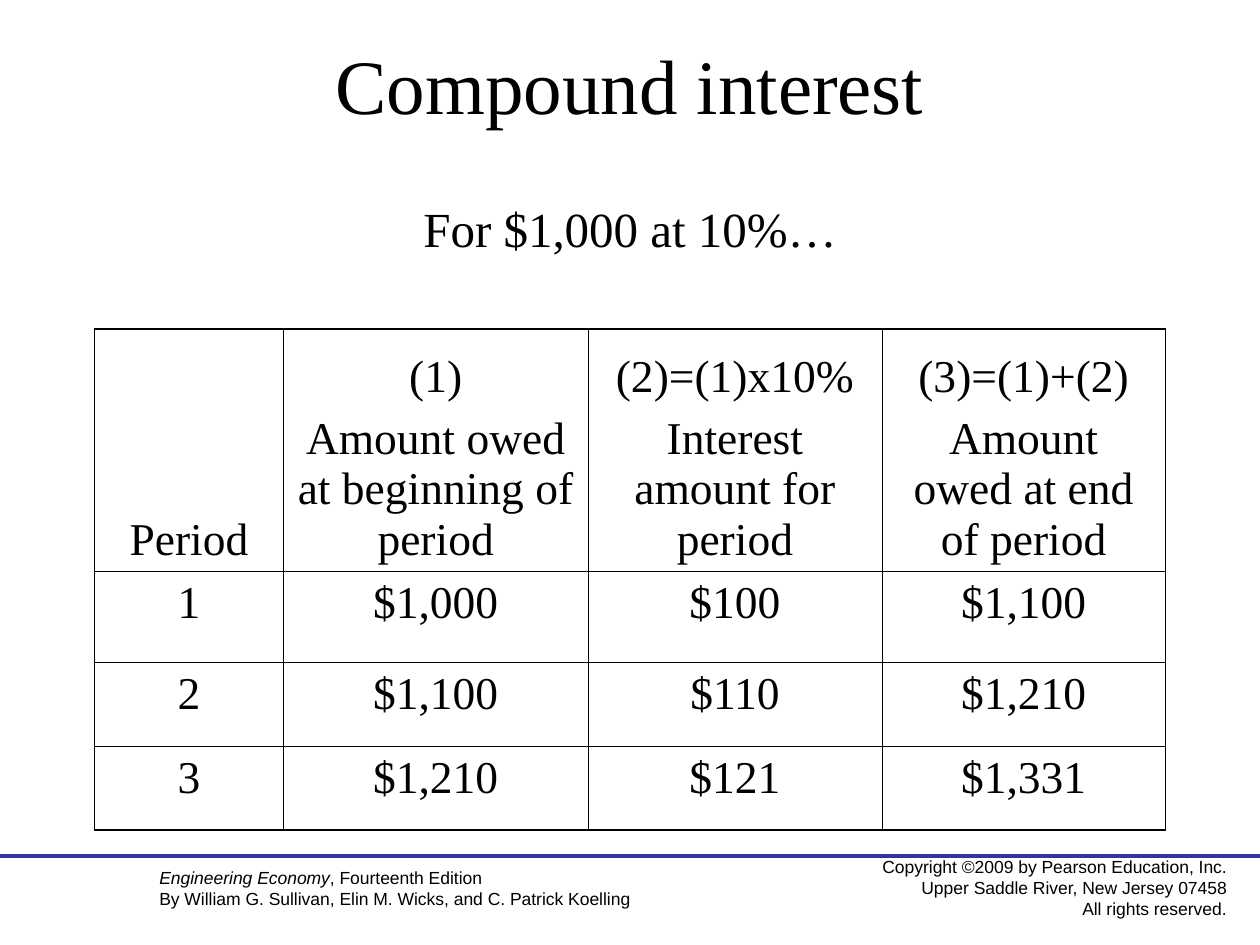
from lxml import etree
from pptx import Presentation
from pptx import util as u
from pptx.dml.color import RGBColor
from pptx.enum import shapes, text
from pptx.oxml import ns

COLUMNS, ROWS = 120, 90
INK, RULE = "000000", "333399"
CENTER, LEFT, RIGHT = text.PP_ALIGN.CENTER, text.PP_ALIGN.LEFT, text.PP_ALIGN.RIGHT
TOP, MIDDLE, BOTTOM = text.MSO_ANCHOR.TOP, text.MSO_ANCHOR.MIDDLE, text.MSO_ANCHOR.BOTTOM


def color(value):
    return RGBColor.from_string(value)


def write(frame, lines, align, font):
    for i, line in enumerate(lines):
        paragraph = frame.paragraphs[0] if i == 0 else frame.add_paragraph()
        paragraph.alignment = align
        for words, italic in line:
            run = paragraph.add_run()
            run.text = words
            for key, value in {**font, "italic": italic, "bold": False}.items():
                setattr(run.font, key, value)
            run.font.color.rgb = color(INK)


deck = Presentation()
deck.slide_width, deck.slide_height = u.Inches(10), u.Inches(7.5)
unit = deck.slide_width // COLUMNS
slide = deck.slides.add_slide(deck.slide_layouts[6])

copyright_lines = [
    [("Copyright ©2009 by Pearson Education, Inc.", False)],
    [("Upper Saddle River, New Jersey 07458", False)],
    [("All rights reserved.", False)],
]
book_lines = [
    [("Engineering Economy", True), (", Fourteenth Edition", False)],
    [("By William G. Sullivan, Elin M. Wicks, and C. Patrick Koelling", False)],
]
passages = [
    ((80, 81, 38, 7), copyright_lines, RIGHT, MIDDLE, "Arial", 10),
    ((14, 82, 60, 5.25), book_lines, LEFT, TOP, "Arial", 10),
    ((6, 14.25, 108, 15), [[("For $1,000 at 10%…", False)]], CENTER, MIDDLE, "Times New Roman", 28),
    ((9, 2.5, 102, 11), [[("Compound interest", False)]], CENTER, MIDDLE, "Times New Roman", 44),
]
for place, lines, align, anchor, face, size in passages:
    frame = slide.shapes.add_textbox(*[int(n * unit) for n in place]).text_frame
    frame.word_wrap = True
    frame.vertical_anchor = anchor
    write(frame, lines, align, {"name": face, "size": u.Pt(size)})

footer_rule = slide.shapes.add_connector(
    shapes.MSO_CONNECTOR.STRAIGHT, 0, int(81.5 * unit), COLUMNS * unit, int(81.5 * unit))
footer_rule.line.color.rgb = color(RULE)
footer_rule.line.width = u.Pt(2.25)
etree.SubElement(footer_rule._element.spPr, ns.qn("a:effectLst"))

schedule = [
    [["Period"], ["(1)", "Amount owed at beginning of period"],
     ["(2)=(1)x10%", "Interest amount for period"],
     ["(3)=(1)+(2)", "Amount owed at end of period"]],
    [["1"], ["$1,000"], ["$100"], ["$1,100"]],
    [["2"], ["$1,100"], ["$110"], ["$1,210"]],
    [["3"], ["$1,210"], ["$121"], ["$1,331"]],
]
widths, heights = [18, 29, 28, 27], [23, 8.67, 8, 8]
last_row, last_column = len(heights) - 1, len(widths) - 1
place = (9, 31.33, sum(widths), sum(heights))
table = slide.shapes.add_table(len(heights), len(widths), *[int(n * unit) for n in place]).table
table.first_row = table.horz_banding = False
for column, width in zip(table.columns, widths):
    column.width = width * unit
for row, height in zip(table.rows, heights):
    row.height = int(height * unit)

for r, entries in enumerate(schedule):
    for c, entry in enumerate(entries):
        cell = table.cell(r, c)
        write(cell.text_frame, [[(words, False)] for words in entry], CENTER,
              {"name": "Times New Roman", "size": u.Pt(26)})
        for paragraph in cell.text_frame.paragraphs[1:]:
            paragraph.space_before = u.Pt(6.5)
        cell.vertical_anchor = BOTTOM if r == 0 else TOP
        outer = {"lnL": c == 0, "lnR": c == last_column, "lnT": r == 0, "lnB": r == last_row}
        properties = cell._tc.get_or_add_tcPr()
        for side, on_edge in outer.items():
            border = etree.SubElement(properties, ns.qn("a:" + side),
                                      w=str(u.Pt(1.08 if on_edge else 0.45)))
            ink = etree.SubElement(border, ns.qn("a:solidFill"))
            etree.SubElement(ink, ns.qn("a:srgbClr"), val=INK)
        cell.fill.background()

deck.save("out.pptx")
